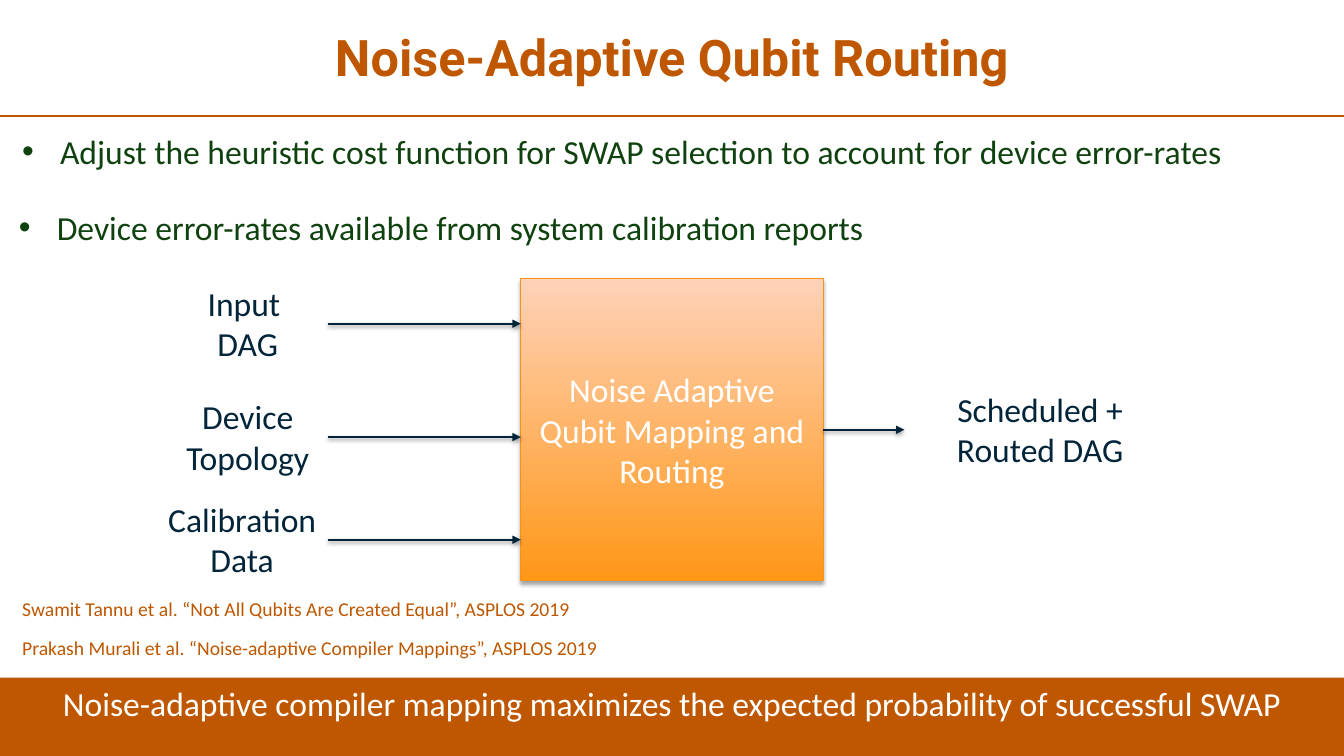
from lxml.etree import SubElement
from pptx import Presentation
from pptx.dml.color import RGBColor
from pptx.enum.shapes import MSO_CONNECTOR, MSO_SHAPE
from pptx.enum.text import MSO_ANCHOR, MSO_AUTO_SIZE, PP_ALIGN
from pptx.oxml.ns import qn
from pptx.util import Pt

THEME = {
    "orange": RGBColor.from_string("BF5700"),
    "heading": RGBColor.from_string("BE5700"),
    "green": RGBColor.from_string("104210"),
    "navy": RGBColor.from_string("022539"),
    "white": RGBColor.from_string("FFFFFF"),
    "box_line": RGBColor.from_string("F79319"),
    "box_bottom": RGBColor.from_string("FF9717"),
    "box_top": RGBColor.from_string("FFD2B9"),
    "title_size": Pt(36),
    "body_size": Pt(24),
    "citation_size": Pt(14),
    "title_font": "Roboto",
    "body_font": "Calibri",
}


def write(shape, lines, color, alignment=PP_ALIGN.CENTER, anchor=MSO_ANCHOR.TOP,
          resize=MSO_AUTO_SIZE.NONE, **font_format):
    frame = shape.text_frame
    frame.text = "\n".join(lines)
    frame_format = {"word_wrap": True, "vertical_anchor": anchor, "auto_size": resize}
    for name, value in frame_format.items():
        setattr(frame, name, value)
    font_values = {"size": THEME["body_size"], "name": THEME["body_font"], **font_format}
    for paragraph in frame.paragraphs:
        paragraph.alignment = alignment
        for run in paragraph.runs:
            run.font.color.rgb = THEME[color]
            for name, value in font_values.items():
                setattr(run.font, name, value)
    return shape


def add_shadow(shape, distance, opacity):
    effects = shape._element.spPr.get_or_add_effectLst()
    shadow = SubElement(effects, qn("a:outerShdw"), blurRad=str(Pt(3.1)),
                        dist=str(Pt(distance)), dir="5400000", rotWithShape="0")
    shade = SubElement(shadow, qn("a:srgbClr"), val="000000")
    SubElement(shade, qn("a:alpha"), val=str(opacity * 1000))


presentation = Presentation()
presentation.slide_width, presentation.slide_height = Pt(960), Pt(540)
slide = presentation.slides.add_slide(presentation.slide_layouts[5])
shapes = slide.shapes

title = shapes.title
title_place = {"left": Pt(6.5), "top": Pt(3), "width": Pt(947), "height": Pt(80)}
for name, value in title_place.items():
    setattr(title, name, value)
write(title, ["Noise-Adaptive Qubit Routing"], "heading", anchor=MSO_ANCHOR.MIDDLE,
      size=THEME["title_size"], name=THEME["title_font"], bold=True)
title.text_frame.paragraphs[0].line_spacing = 0.9

rule = shapes.add_connector(MSO_CONNECTOR.STRAIGHT, Pt(0), Pt(82.8), Pt(960), Pt(82.8))
rule.line.color.rgb = THEME["orange"]
rule.line.width = Pt(1.5)
rule._element.spPr.get_or_add_effectLst()

banner = shapes.add_shape(MSO_SHAPE.RECTANGLE, Pt(0), Pt(484), Pt(960), Pt(57))
banner.shadow.inherit = False
banner.fill.solid()
banner.fill.fore_color.rgb = THEME["orange"]
banner.line.fill.background()
write(banner, ["Noise-adaptive compiler mapping maximizes the expected probability of successful SWAP"], "white")

bullets = [
    (8.8, 90, "Adjust the heuristic cost function for SWAP selection to account for device error-rates"),
    (6.5, 144.5, "Device error-rates available from system calibration reports"),
]
for left, top, text in bullets:
    bullet = shapes.add_textbox(Pt(left), Pt(top), Pt(947), Pt(36))
    write(bullet, [text], "green", PP_ALIGN.JUSTIFY, resize=MSO_AUTO_SIZE.SHAPE_TO_FIT_TEXT)
    properties = bullet.text_frame.paragraphs[0]._p.get_or_add_pPr()
    properties.set("marL", str(Pt(27)))
    properties.set("indent", str(Pt(-27)))
    SubElement(properties, qn("a:buFont"), typeface="Arial")
    SubElement(properties, qn("a:buChar"), char="•")

router = shapes.add_shape(MSO_SHAPE.RECTANGLE, Pt(372), Pt(199), Pt(216), Pt(216))
router.shadow.inherit = False
router.fill.gradient()
router.fill.gradient_angle = 90
for stop, position, color in zip(router.fill.gradient_stops, (0, 1), ("box_bottom", "box_top")):
    stop.position = position
    stop.color.rgb = THEME[color]
router.line.color.rgb = THEME["box_line"]
router.line.width = Pt(0.75)
add_shadow(router, 1.8, 35)
write(router, ["Noise Adaptive Qubit Mapping and Routing"], "white", anchor=MSO_ANCHOR.MIDDLE)

labels = [
    (120, 198.5, 114, ["Input ", "DAG"]),
    (120, 279.5, 114, ["Device", "Topology"]),
    (112, 352.8, 122, ["Calibration", "Data"]),
    (646, 274.3, 194, ["Scheduled + Routed DAG"]),
]
for left, top, width, lines in labels:
    label = shapes.add_textbox(Pt(left), Pt(top), Pt(width), Pt(65.4))
    write(label, lines, "navy", resize=MSO_AUTO_SIZE.SHAPE_TO_FIT_TEXT)
    middle = Pt(top + 32.7)
    arrow = shapes.add_connector(MSO_CONNECTOR.STRAIGHT, Pt(234), middle, router.left, middle)
    if label.left < router.left:
        arrow.begin_connect(label, 3)
    else:
        arrow.begin_connect(router, 3)
        arrow.end_connect(label, 1)
    arrow.line.color.rgb = THEME["navy"]
    arrow.line.width = Pt(1.5)
    SubElement(arrow._element.spPr.get_or_add_ln(), qn("a:tailEnd"), type="triangle")
    add_shadow(arrow, 1.6, 38)

citations = [
    "Swamit Tannu et al. “Not All Qubits Are Created Equal”, ASPLOS 2019",
    "Prakash Murali et al. “Noise-adaptive Compiler Mappings”, ASPLOS 2019",
]
for index, text in enumerate(citations):
    citation = shapes.add_textbox(Pt(8.8), Pt(422.5 + 28.5 * index), Pt(759), Pt(24.2))
    write(citation, [text], "heading", PP_ALIGN.LEFT,
          resize=MSO_AUTO_SIZE.SHAPE_TO_FIT_TEXT, size=THEME["citation_size"])

presentation.save("out.pptx")
